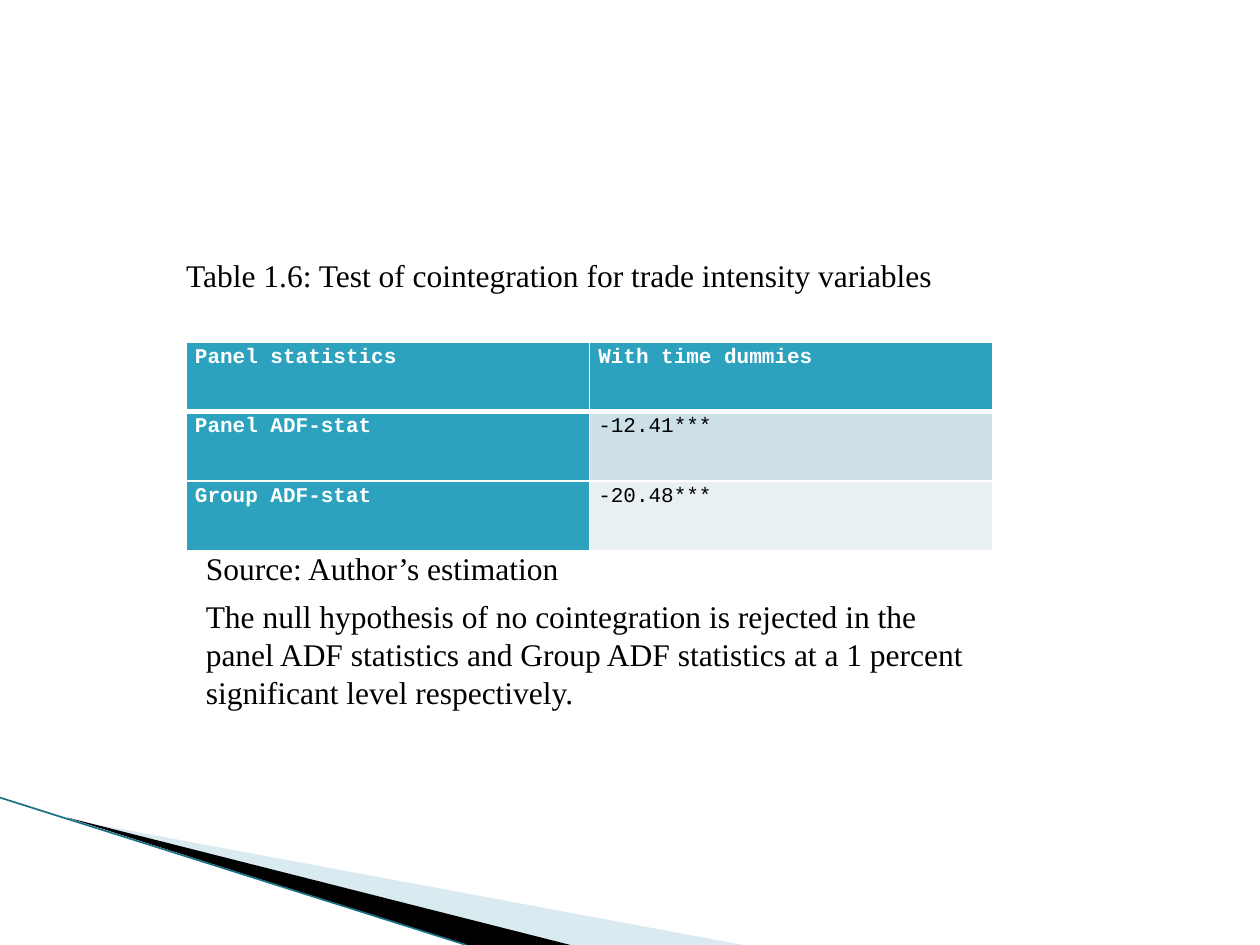
from lxml.etree import SubElement
from pptx import Presentation
from pptx.dml.color import RGBColor as Rgb
from pptx.enum.shapes import MSO_CONNECTOR as Connector
from pptx.enum.text import MSO_ANCHOR as Anchor, MSO_AUTO_SIZE as AutoSize, PP_ALIGN as Align
from pptx.oxml.ns import qn
from pptx.util import Cm, Pt

COLORS = {
    "ink": "000000",
    "white": "FFFFFF",
    "teal": "2DA2BF",
    "edge": "1B7085",
    "wedge": "A0CBDC",
    "band_dark": "CDE0E8",
    "band_light": "E8F0F4",
}
ROWS = [
    ("Panel statistics", "With time dummies"),
    ("Panel ADF-stat", "-12.41***"),
    ("Group ADF-stat", "-20.48***"),
]
CAPTION = "Table 1.6: Test of cointegration for trade intensity variables"
SOURCE = "Source: Author’s estimation"
FINDING = (
    "The null hypothesis of no cointegration is rejected in the panel ADF statistics "
    "and Group ADF statistics at a 1 percent significant level respectively."
)


def color(name):
    """Return the named colour."""
    return Rgb.from_string(COLORS[name])


def add_span(para, text, font, size, ink, bold=False):
    """Add one formatted run to a paragraph."""
    span = para.add_run()
    span.text = text
    span.font.name, span.font.size, span.font.bold = font, Pt(size), bold
    span.font.color.rgb = color(ink)


def fill_box(box, text, left, top, width, height, wrap=True):
    """Place a box and write body text into it."""
    box.left, box.top, box.width, box.height = map(Cm, (left, top, width, height))
    frame = box.text_frame
    frame.word_wrap = wrap
    frame.auto_size = AutoSize.NONE
    frame.vertical_anchor = Anchor.TOP
    para = frame.paragraphs[0]
    para.alignment = Align.LEFT
    add_span(para, text, "Times New Roman", 18, "ink")


def add_note(page, text, *place, wrap=True):
    """Add a text box below the table."""
    box = page.shapes.add_textbox(0, 0, 0, 0)
    fill_box(box, text, *place, wrap=wrap)


def add_wedge(page, points, fill, opacity=100):
    """Add a filled triangle without outline."""
    start, *others = [(Cm(x), Cm(y)) for x, y in points]
    builder = page.shapes.build_freeform(*start)
    builder.add_line_segments(others)
    wedge = builder.convert_to_shape()
    wedge.shadow.inherit = False
    wedge.line.fill.background()
    wedge.fill.solid()
    wedge.fill.fore_color.rgb = color(fill)
    if opacity < 100:
        tone = wedge.fill._xPr.find(".//" + qn("a:srgbClr"))
        SubElement(tone, qn("a:alpha"), val=str(opacity * 1000))


def add_edge(page, start, end):
    """Add the thin line along the wedges."""
    edge = page.shapes.add_connector(Connector.STRAIGHT, *map(Cm, start + end))
    edge.line.color.rgb = color("edge")
    edge.line.width = Pt(0.95)
    SubElement(edge._element.spPr, qn("a:effectLst"))


def set_borders(cell, bottom):
    """Draw white borders round a cell."""
    props = cell._tc.get_or_add_tcPr()
    widths = {"a:lnL": 1, "a:lnR": 1, "a:lnT": 1, "a:lnB": bottom}
    for position, (tag, width) in enumerate(widths.items()):
        line = props.makeelement(qn(tag), w=str(Pt(width)))
        props.insert(position, line)
        SubElement(SubElement(line, qn("a:solidFill")), qn("a:srgbClr"), val=COLORS["white"])


def format_cell(cell, text, row, column):
    """Write and style one table cell."""
    heading = row == 0 or column == 0
    cell.margin_left = cell.margin_right = Cm(0.18)
    cell.margin_top = cell.margin_bottom = 0
    cell.fill.solid()
    band = "band_dark" if row % 2 else "band_light"
    cell.fill.fore_color.rgb = color("teal" if heading else band)
    set_borders(cell, 3 if row == 0 else 1)
    para = cell.text_frame.paragraphs[0]
    para.alignment, para.line_spacing = Align.JUSTIFY, 1.15
    add_span(para, text, "Courier New", 12, "white" if heading else "ink", heading)


def add_statistics(page):
    """Add the table of test statistics."""
    place = map(Cm, (3.75, 6.9, 16.26, 4.2))
    table = page.shapes.add_table(len(ROWS), len(ROWS[0]), *place).table
    for row, texts in enumerate(ROWS):
        for column, text in enumerate(texts):
            format_cell(table.cell(row, column), text, row, column)


def main():
    """Build the slide and save it."""
    deck = Presentation()
    deck.slide_width, deck.slide_height = Cm(25.4), Cm(19.05)
    page = deck.slides.add_slide(deck.slide_layouts[5])
    add_wedge(page, [(1.4, 16.52), (14.98, 19.05), (11.5, 19.05)], "wedge", 40)
    add_wedge(page, [(1.35, 16.48), (11.5, 19.05), (9.4, 19.05)], "ink")
    add_edge(page, (0, 16.08), (9.4, 19.05))
    add_statistics(page)
    fill_box(page.shapes.title, CAPTION, 3.5, 5.03, 16.6, 1.02)
    add_note(page, FINDING, 3.9, 11.92, 16.2, 2.56)
    add_note(page, SOURCE, 3.9, 10.94, 7.7, 1.02, wrap=False)
    deck.save("out.pptx")


main()
